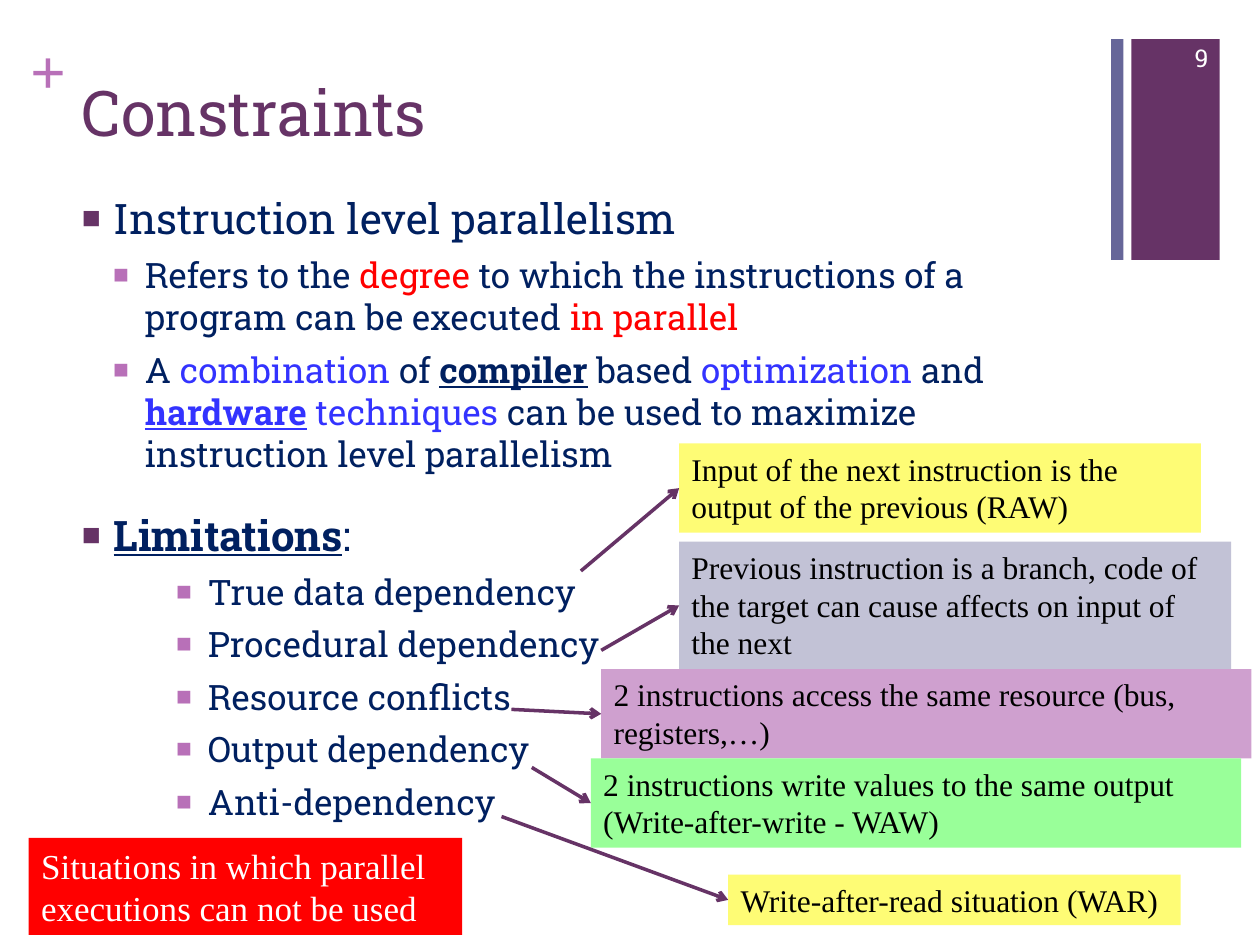
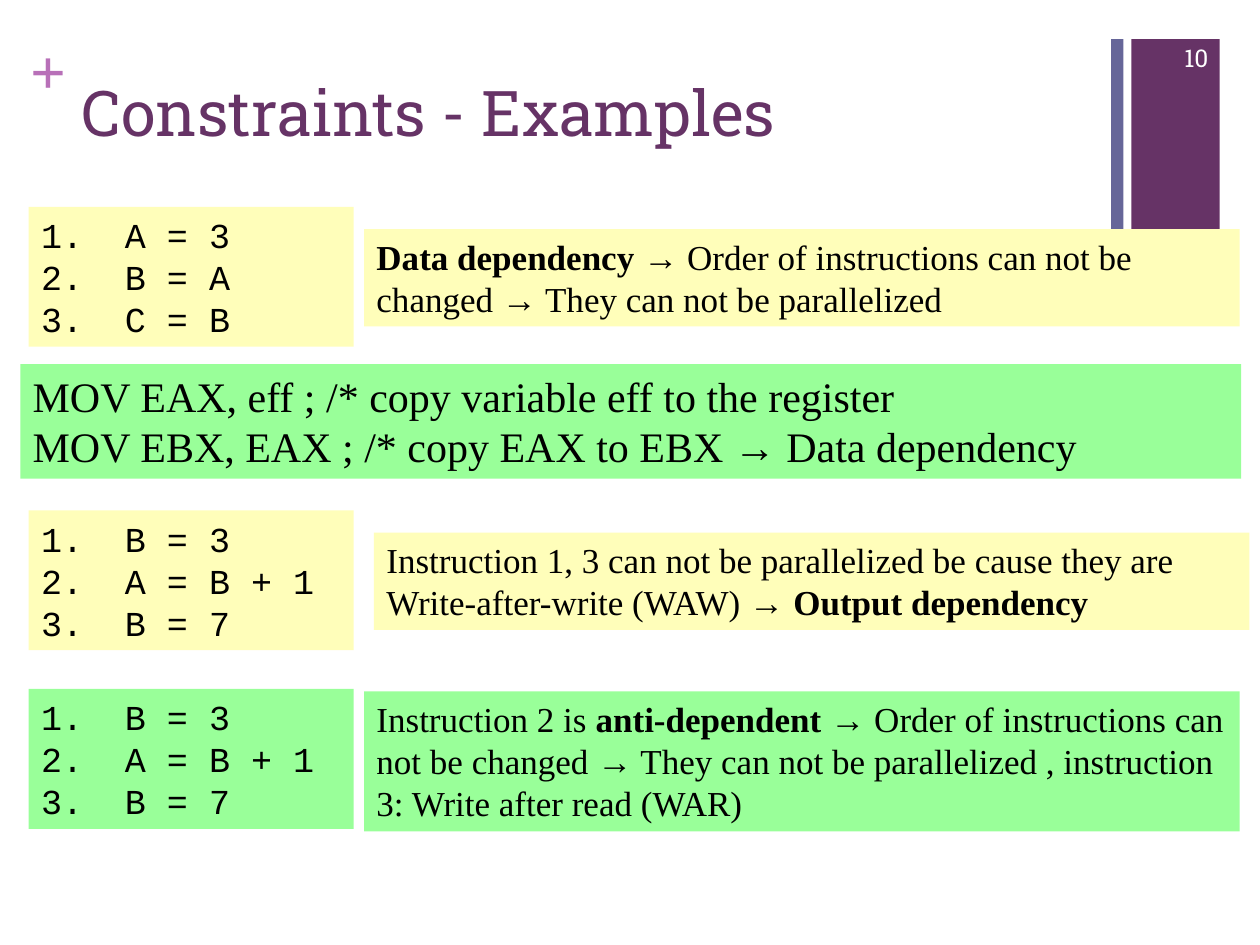
"""Builds two slides about the constraints of instruction level parallelism."""
from dataclasses import dataclass
from typing import NamedTuple, Optional, Sequence

from lxml import etree
from pptx import Presentation
from pptx import util as u
from pptx.dml.color import RGBColor
from pptx.enum import shapes, text
from pptx.oxml import ns


@dataclass(frozen=True)
class Theme:
    """Colours, fonts and type sizes shared by the slides."""
    purple: str = "663366"
    orchid: str = "B870B8"
    slate: str = "666699"
    navy: str = "002060"
    blue: str = "3333FF"
    red: str = "FF0000"
    black: str = "000000"
    white: str = "FFFFFF"
    yellow: str = "FEFC75"
    cream: str = "FFFEBA"
    grey: str = "C2C2D6"
    mauve: str = "CFA0CF"
    green: str = "99FF99"
    slab: str = "Roboto Slab"
    serif: str = "Times New Roman"
    mono: str = "Courier New"
    title_size: int = 36
    heading_size: int = 24
    text_size: int = 20
    note_size: int = 18
    page_size: int = 14


THEME = Theme()


class Box(NamedTuple):
    """A place on the slide in centimetres."""
    left: float
    top: float
    width: float
    height: float


class Run(NamedTuple):
    """A stretch of text that differs from its paragraph."""
    text: str
    color: Optional[str] = None
    bold: bool = False
    underline: bool = False


@dataclass(frozen=True)
class Bullet:
    """The look of one list level."""
    level: int
    indent: float
    hanging: float
    size: int
    space: int = 0
    color: str = THEME.orchid
    numbered: bool = False


class Item(NamedTuple):
    """A paragraph and its list level."""
    runs: Sequence[Run]
    bullet: Optional[Bullet] = None


class Note(NamedTuple):
    """A coloured remark and the start of the arrow that leads to it."""
    words: str
    box: Box
    fill: str
    arrow_x: float
    arrow_y: float


class Example(NamedTuple):
    """A short listing with its explanation."""
    code: Sequence[str]
    top: float
    fill: str
    remark: Sequence[Run]
    remark_box: Box


HEADING = Bullet(0, 0.64, 0.64, THEME.heading_size, 20, THEME.purple)
POINT = Bullet(1, 1.27, 0.64, THEME.text_size, 6)
LIMIT = Bullet(3, 2.54, 0.64, THEME.text_size, 6)
CODE = Bullet(0, 1.69, 1.69, THEME.text_size, numbered=True)

BODY = [
    Item([Run("Instruction level parallelism")], HEADING),
    Item([Run("Refers to the "), Run("degree", THEME.red),
          Run(" to which the instructions of a program can be executed "),
          Run("in parallel", THEME.red)], POINT),
    Item([Run("A "), Run("combination ", THEME.blue), Run("of "),
          Run("compiler", bold=True, underline=True), Run(" based "),
          Run("optimization", THEME.blue), Run(" and "),
          Run("hardware", THEME.blue, True, True), Run(" techniques ", THEME.blue),
          Run("can be used to maximize instruction level parallelism")], POINT),
    Item([Run("Limitations", bold=True, underline=True), Run(":")], HEADING),
] + [Item([Run(name)], LIMIT) for name in (
    "True data dependency", "Procedural dependency", "Resource conflicts",
    "Output dependency", "Anti-dependency")]

NOTES = [
    Note("Input of the next instruction is the output of the previous (RAW)",
         Box(13.69, 8.94, 10.52, 1.8), THEME.yellow, 11.71, 11.51),
    Note("Previous instruction is a branch, code of the target can cause affects on input of the next",
         Box(13.69, 10.92, 11.13, 2.57), THEME.grey, 12.12, 13.11),
    Note("2 instructions access the same resource (bus, registers,…)",
         Box(12.12, 13.49, 13.11, 1.8), THEME.mauve, 10.31, 14.3),
    Note("2 instructions write values to the same output (Write-after-write - WAW)",
         Box(11.91, 15.29, 13.11, 1.8), THEME.green, 10.72, 15.47),
    Note("Write-after-read situation (WAR)",
         Box(14.68, 17.63, 9.12, 1.02), THEME.yellow, 10.11, 16.46),
]

EXAMPLES = [
    Example(["A = 3", "B = A", "C = B"], 4.17, THEME.cream,
            [Run("Data dependency ", bold=True),
             Run("→ Order of instructions can not be changed → They can not be parallelized")],
            Box(7.34, 4.62, 17.65, 1.96)),
    Example(["B = 3", "A = B + 1", "B = 7"], 10.29, THEME.cream,
            [Run("Instruction 1, 3 can not be parallelized be cause they are Write-after-write (WAW) → "),
             Run("Output dependency", bold=True)],
            Box(7.54, 10.74, 17.65, 1.96)),
    Example(["B = 3", "A = B + 1", "B = 7"], 13.89, THEME.green,
            [Run("Instruction 2 is "), Run("anti-dependent ", bold=True),
             Run("→ Order of instructions can not be changed → They can not be parallelized"
                 " , instruction 3: Write after read (WAR)")],
            Box(7.34, 13.94, 17.65, 2.82)),
]


def place(box: Box) -> list:
    """Return the box as lengths."""
    return [u.Cm(value) for value in box]


def add_block(slide, box: Box, fill: str):
    """Draw a plain filled rectangle."""
    shape = slide.shapes.add_shape(shapes.MSO_SHAPE.RECTANGLE, *place(box))
    shape.shadow.inherit = False
    shape.fill.solid()
    shape.fill.fore_color.rgb = RGBColor.from_string(fill)
    shape.line.fill.background()
    return shape


def add_child(parent, tag: str, **attributes: str):
    """Append a drawing element to its parent."""
    return etree.SubElement(parent, ns.qn(tag), attributes)


def set_bullet(paragraph, bullet: Bullet) -> None:
    """Give a paragraph its list level, indent and marker."""
    paragraph.level = bullet.level
    paragraph.space_before = u.Pt(bullet.space)
    properties = paragraph._p.get_or_add_pPr()
    properties.set("marL", str(u.Cm(bullet.indent)))
    properties.set("indent", str(-u.Cm(bullet.hanging)))
    if bullet.numbered:
        add_child(properties, "a:buFont", typeface=THEME.mono)
        add_child(properties, "a:buAutoNum", type="arabicPeriod")
        return
    add_child(add_child(properties, "a:buClr"), "a:srgbClr", val=bullet.color)
    add_child(properties, "a:buSzPct", val="75000")
    add_child(properties, "a:buFont", typeface="Arial")
    add_child(properties, "a:buChar", char="■")


def add_text(slide, box: Box, items: Sequence[Item], *, size: int, font: str = THEME.serif,
             color: str = THEME.black, fill: Optional[str] = None, wrap: bool = True,
             inset: Optional[float] = None, anchor=text.MSO_ANCHOR.TOP,
             align=text.PP_ALIGN.LEFT) -> None:
    """Write paragraphs in a box, filled or clear."""
    shape = add_block(slide, box, fill) if fill else slide.shapes.add_textbox(*place(box))
    frame = shape.text_frame
    frame.word_wrap = wrap
    frame.vertical_anchor = anchor
    if inset is not None:
        frame.margin_left = frame.margin_right = u.Cm(inset)
        frame.margin_top = frame.margin_bottom = u.Cm(inset)
    for index, item in enumerate(items):
        paragraph = frame.add_paragraph() if index else frame.paragraphs[0]
        paragraph.alignment = align
        if item.bullet:
            set_bullet(paragraph, item.bullet)
        for part in item.runs:
            run = paragraph.add_run()
            run.text = part.text
            run.font.name = font
            run.font.size = u.Pt(item.bullet.size if item.bullet else size)
            run.font.bold = part.bold
            run.font.underline = part.underline
            run.font.color.rgb = RGBColor.from_string(part.color or color)


def lines(*words: str) -> list:
    """Turn plain strings into paragraphs."""
    return [Item([Run(line)]) for line in words]


def add_arrow(slide, note: Note) -> None:
    """Draw an arrow to the middle of a note's left side."""
    box = note.box
    connector = slide.shapes.add_connector(
        shapes.MSO_CONNECTOR.STRAIGHT, u.Cm(note.arrow_x), u.Cm(note.arrow_y),
        u.Cm(box.left), u.Cm(box.top + box.height / 2))
    connector.line.color.rgb = RGBColor.from_string(THEME.purple)
    connector.line.width = u.Pt(2)
    properties = connector._element.spPr
    add_child(properties.find(ns.qn("a:ln")), "a:tailEnd", type="arrow")
    add_child(properties, "a:effectLst")


def add_slide(presentation, title: str):
    """Add a blank slide with the shared bands, plus sign and title."""
    slide = presentation.slides.add_slide(presentation.slide_layouts[6])
    add_block(slide, Box(22.81, 0.79, 1.78, 4.45), THEME.purple)
    add_block(slide, Box(22.4, 0.79, 0.25, 4.45), THEME.slate)
    add_text(slide, Box(0.61, 0.64, 0.74, 1.55), [Item([Run("+", bold=True)])],
             size=THEME.title_size, color=THEME.orchid, inset=0, wrap=False)
    add_text(slide, Box(1.4, 1.35, 20.98, 3.1), lines(title), size=THEME.title_size,
             font=THEME.slab, color=THEME.purple)
    return slide


def add_page_number(slide, number: int) -> None:
    """Write the page number on the purple band."""
    add_text(slide, Box(23.06, 0.66, 1.55, 1.02), lines(str(number)), size=THEME.page_size,
             font=THEME.slab, color=THEME.white, anchor=text.MSO_ANCHOR.MIDDLE,
             align=text.PP_ALIGN.RIGHT)


def build_constraints(presentation) -> None:
    """Build the slide that lists the limitations."""
    slide = add_slide(presentation, "Constraints")
    add_text(slide, Box(1.4, 3.76, 20.98, 13.26), BODY, size=THEME.text_size,
             font=THEME.slab, color=THEME.navy)
    for note in NOTES:
        add_text(slide, note.box, lines(note.words), size=THEME.note_size, fill=note.fill)
    for note in NOTES:
        add_arrow(slide, note)
    add_text(slide, Box(0.58, 16.89, 8.74, 1.96),
             lines("Situations in which parallel executions can not be used"),
             size=THEME.text_size, color=THEME.white, fill=THEME.red)
    add_page_number(slide, 9)


def build_examples(presentation) -> None:
    """Build the slide with example listings."""
    slide = add_slide(presentation, "Constraints - Examples")
    for example in EXAMPLES:
        add_text(slide, Box(0.58, example.top, 6.55, 2.82),
                 [Item([Run(line)], CODE) for line in example.code], size=THEME.text_size,
                 font=THEME.mono, fill=example.fill, anchor=text.MSO_ANCHOR.MIDDLE)
        add_text(slide, example.remark_box, [Item(example.remark)], size=THEME.text_size,
                 fill=example.fill)
    add_text(slide, Box(0.41, 7.34, 24.61, 2.31),
             lines("MOV EAX, eff ; /* copy variable eff to the register",
                   "MOV EBX, EAX ; /* copy EAX to EBX → Data dependency"),
             size=THEME.heading_size, fill=THEME.green)
    add_page_number(slide, 10)


def main() -> None:
    """Build and save the presentation."""
    presentation = Presentation()
    presentation.slide_width = u.Cm(25.4)
    presentation.slide_height = u.Cm(19.05)
    build_constraints(presentation)
    build_examples(presentation)
    presentation.save("out.pptx")


if __name__ == "__main__":
    main()
